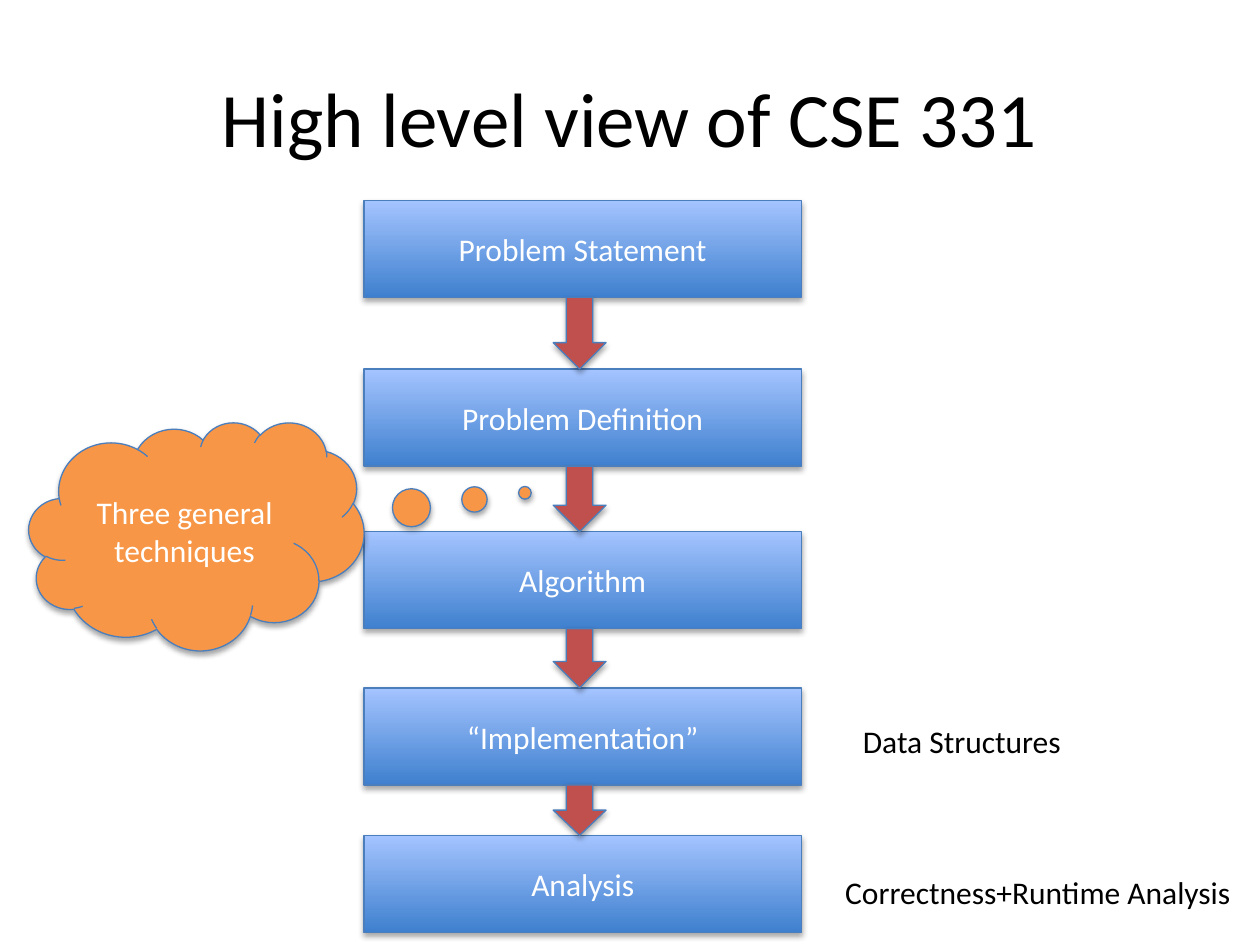
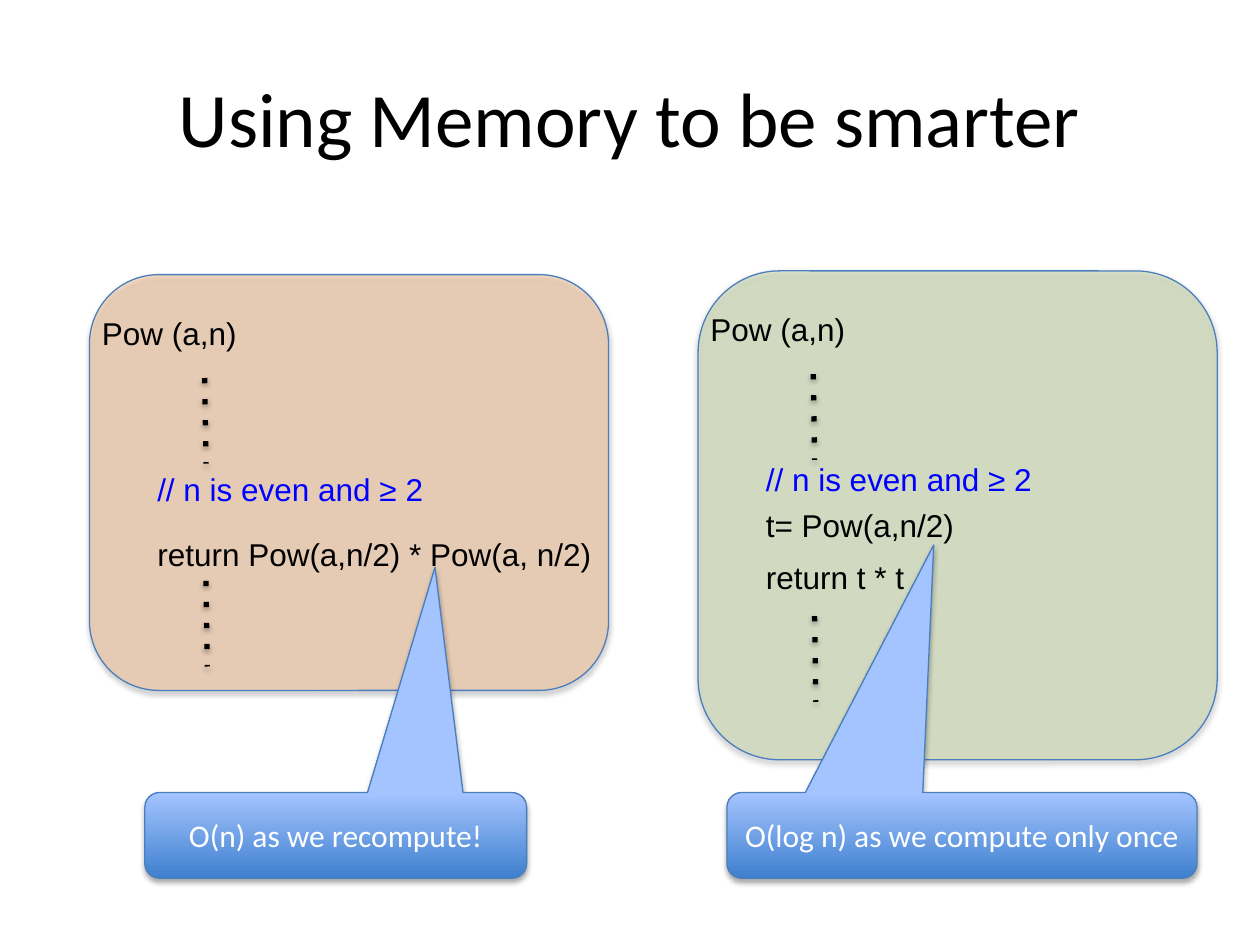
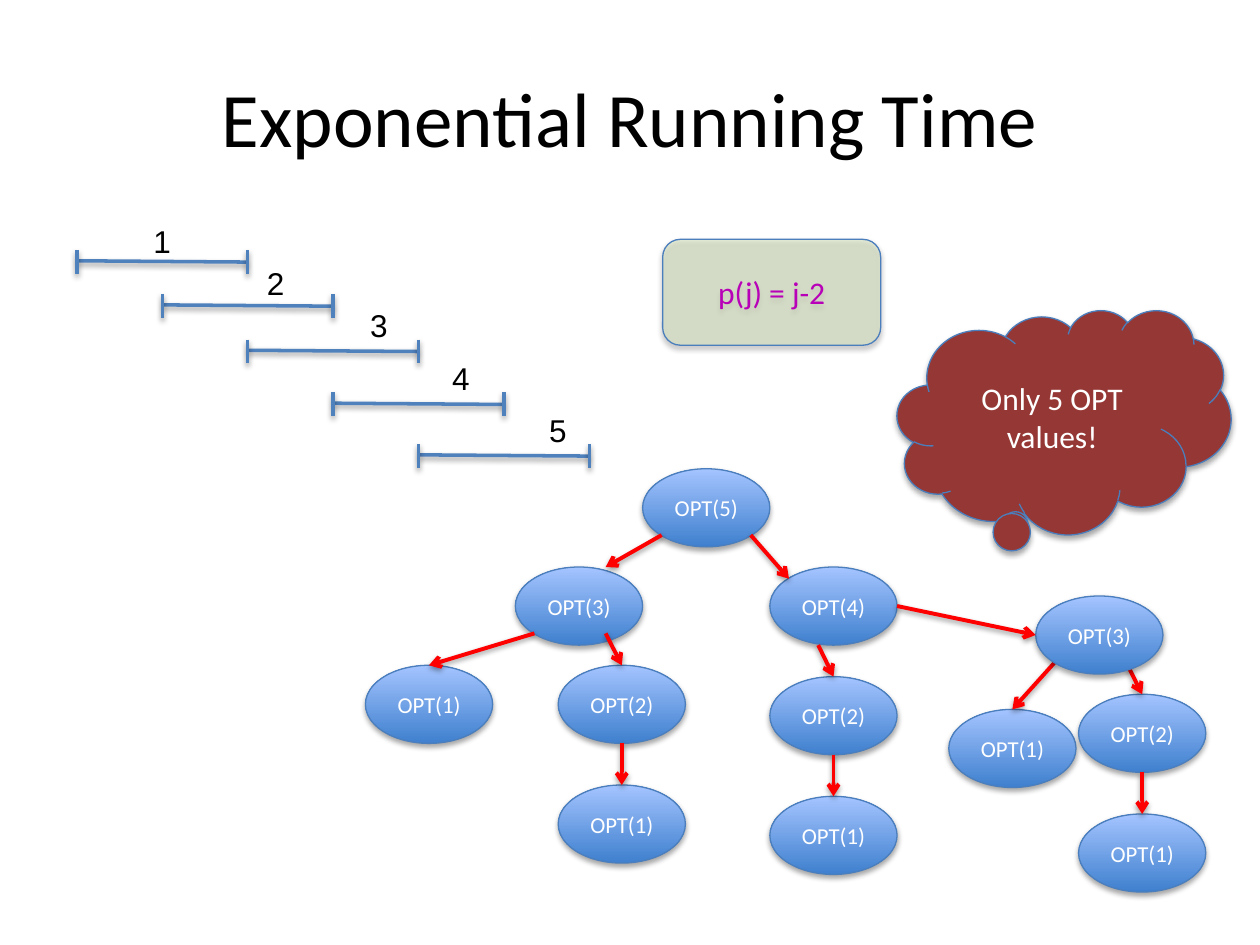
from dataclasses import dataclass

from lxml import etree
from pptx import Presentation
from pptx.dml.color import RGBColor
from pptx.enum.shapes import MSO_CONNECTOR, MSO_SHAPE
from pptx.enum.text import MSO_ANCHOR, MSO_AUTO_SIZE, PP_ALIGN
from pptx.oxml.ns import qn
from pptx.util import Emu, Inches, Pt

STRAIGHT = MSO_CONNECTOR.STRAIGHT
RECT = MSO_SHAPE.RECTANGLE
ROUNDED = MSO_SHAPE.ROUNDED_RECTANGLE
ELLIPSE = MSO_SHAPE.OVAL
DOWN_ARROW = MSO_SHAPE.DOWN_ARROW
CLOUD = MSO_SHAPE.CLOUD_CALLOUT
SPEECH = MSO_SHAPE.ROUNDED_RECTANGULAR_CALLOUT
LEFT, CENTER = PP_ALIGN.LEFT, PP_ALIGN.CENTER
MIDDLE = MSO_ANCHOR.MIDDLE
GROW = MSO_AUTO_SIZE.SHAPE_TO_FIT_TEXT

SLIDE_W, SLIDE_H = Inches(10), Inches(7.5)
COLUMNS = 100  # square cells, so the slide is 100 columns by 75 rows


@dataclass(frozen=True)
class Theme:
    body_font: str = "Calibri"
    code_font: str = "Arial"
    title_size: float = 44
    body_size: float = 18
    node_size: float = 13
    ink: str = "000000"
    paper: str = "FFFFFF"
    outline: str = "4B7EBC"
    gradient: tuple = ("3F80CE", "A4C4FF")
    step_arrow: str = "C0504D"
    idea: str = "F79646"
    insight: str = "953735"
    slow_panel: str = "FAC090"
    fast_panel: str = "C3D69B"
    formula_panel: str = "D7E4BD"
    formula: str = "B700B7"
    comment: str = "0000FF"
    interval: str = "4F81BD"
    call: str = "FF0000"


THEME = Theme()


def cells(count):
    return Emu(round(count * SLIDE_W / COLUMNS))


def rgb(colour):
    return RGBColor.from_string(colour)


def add_child(parent, tag, **attributes):
    child = etree.SubElement(parent, qn(tag))
    for key, value in attributes.items():
        child.set(key, str(value))
    return child


def add_shadow(effects, opacity, distance):
    """Put a soft downward shadow into an effect list."""
    shadow = add_child(effects, "a:outerShdw", blurRad=40000, dist=distance,
                       dir=5400000, rotWithShape=0)
    black = add_child(shadow, "a:srgbClr", val=THEME.ink)
    add_child(black, "a:alpha", val=opacity * 1000)


def write(frame, text, size=THEME.body_size, colour=THEME.ink,
          font=THEME.body_font, align=LEFT):
    paragraph = frame.paragraphs[0]
    paragraph.alignment = align
    run = paragraph.add_run()
    run.text = text
    run.font.name = font
    run.font.size = Pt(size)
    run.font.color.rgb = rgb(colour)


def add_title(slide, text):
    frame = slide.shapes.add_textbox(cells(5), cells(3), cells(90), cells(12.5)).text_frame
    frame.word_wrap = True
    frame.vertical_anchor = MIDDLE
    write(frame, text, THEME.title_size, align=CENTER)


def add_label(slide, left, top, width, text, **style):
    frame = slide.shapes.add_textbox(cells(left), cells(top), cells(width), cells(4)).text_frame
    frame.word_wrap = False
    frame.auto_size = GROW
    write(frame, text, **style)


def add_block(slide, preset, box, fill=None, opacity=None, text="",
              size=THEME.body_size, colour=THEME.paper, adjust=()):
    """Add an outlined, shadowed shape; without a fill it takes the blue gradient."""
    block = slide.shapes.add_shape(preset, *map(cells, box))
    for index, value in enumerate(adjust):
        block.adjustments[index] = value
    if fill:
        block.fill.solid()
        block.fill.fore_color.rgb = rgb(fill)
    else:
        block.fill.gradient()
        block.fill.gradient_angle = 90
        for stop, shade in zip(block.fill.gradient_stops, THEME.gradient):
            stop.color.rgb = rgb(shade)
    properties = block._element.spPr
    if opacity:
        add_child(properties.find(qn("a:solidFill"))[0], "a:alpha", val=opacity * 1000)
    block.line.color.rgb = rgb(THEME.outline)
    block.line.width = Pt(0.75)
    block.shadow.inherit = False
    add_shadow(properties.find(qn("a:effectLst")), 35, 23000)
    if text:
        write(block.text_frame, text, size, colour, align=CENTER)


def add_line(slide, start, end, colour, width, dash=None, head=None):
    line = slide.shapes.add_connector(STRAIGHT, *map(cells, (*start, *end)))
    line.line.color.rgb = rgb(colour)
    line.line.width = Pt(width)
    properties = line._element.spPr
    stroke = properties.find(qn("a:ln"))
    if dash:
        add_child(stroke, "a:prstDash", val=dash)
    if head:
        add_child(stroke, "a:tailEnd", type=head)
    add_shadow(add_child(properties, "a:effectLst"), 38, 20000)


def add_code_panel(slide, left, top, height, fill, opacity, lines, dots):
    """Panel with a function head, indented (row, width, text, colour) lines and dotted gaps."""
    add_block(slide, ROUNDED, (left, top, 41.2, height), fill, opacity)
    add_label(slide, left, top + 2.65, 12.8, "Pow (a,n)", font=THEME.code_font)
    for row, width, text, colour in lines:
        add_label(slide, left + 4.4, row, width, text, colour=colour, font=THEME.code_font)
    for index, row in enumerate(dots):
        column = left + 9.15 + index * 0.1
        add_line(slide, (column, row), (column + 0.1, row + 6.8), THEME.ink, 3, dash="dot")


def add_interval(slide, number, left, row, label_left, label_top):
    right = left + 13.55
    add_line(slide, (left, row), (right, row + 0.1), THEME.interval, 2)
    for end in (left, right):
        add_line(slide, (end, row - 0.85), (end, row + 1.05), THEME.interval, 2)
    add_label(slide, label_left, label_top, 3.4, str(number), font=THEME.code_font)


def add_call_tree(slide, calls):
    """Draw calls, given as key: (argument, left, top, parent, start site, end site).

    A site is a place on an ellipse, in shares of its width and height.
    """
    width, height = 10.1, 6.2

    def point(key, site):
        _, left, top, *_ = calls[key]
        return left + site[0] * width, top + site[1] * height

    for key, (argument, left, top, parent, start, end) in calls.items():
        add_block(slide, ELLIPSE, (left, top, width, height),
                  text=f"OPT({argument})", size=THEME.node_size)
        if parent:
            add_line(slide, point(parent, start), point(key, end),
                     THEME.call, 2.25, head="arrow")


def build_overview(slide):
    add_title(slide, "High level view of CSE 331")
    left, width, height = 28.9, 34.7, 7.7
    steps = [("Problem Statement", 15.9), ("Problem Definition", 29.3), ("Algorithm", 42.2),
             ("“Implementation”", 54.6), ("Analysis", 66.3)]
    for name, top in steps:
        add_block(slide, RECT, (left, top, width, height), text=name)
    for (_, top), (_, next_top) in zip(steps, steps[1:]):
        bottom = top + height
        add_block(slide, DOWN_ARROW, (43.9, bottom, 4.2, next_top - bottom), THEME.step_arrow)
    add_label(slide, 66.1, 68.8, 32.9, "Correctness+Runtime Analysis")
    add_label(slide, 67.5, 56.8, 17.9, "Data Structures")
    add_block(slide, CLOUD, (2.3, 33.5, 26.6, 18.1), THEME.idea,
              text="Three general techniques", adjust=(0.98, -0.19))


def build_memory(slide):
    add_title(slide, "Using Memory to be smarter")
    remark = "// n is even and ≥ 2"
    add_code_panel(slide, 7.1, 21.8, 33, THEME.slow_panel, 47,
                   [(36.8, 23.3, remark, THEME.comment),
                    (42, 36.8, "return Pow(a,n/2) * Pow(a, n/2)", THEME.ink)],
                   dots=(30, 46.1))
    add_code_panel(slide, 55.4, 21.5, 38.8, THEME.fast_panel, 40,
                   [(36, 23.3, remark, THEME.comment),
                    (39.7, 17.1, "t= Pow(a,n/2)", THEME.ink),
                    (43.8, 13.1, "return t * t", THEME.ink)],
                   dots=(29.7, 48.9))
    for left, width, text, tip in [
            (11.5, 30.3, "O(n) as we recompute!", (0.26, -3.13)),
            (57.7, 37.3, "O(log n) as we compute only once", (-0.06, -3.39))]:
        add_block(slide, SPEECH, (left, 62.9, width, 6.8), text=text, adjust=(*tip, 0.17))


def build_running_time(slide):
    add_title(slide, "Exponential Running Time")
    intervals = [(20.7, 11.2, 17.1), (24.2, 20.2, 20.5), (27.8, 28.4, 23.8),
                 (32, 34.9, 28), (36.1, 42.6, 32.1)]
    for index, (row, label_left, label_top) in enumerate(intervals):
        add_interval(slide, index + 1, 6.1 + index * 6.78, row, label_left, label_top)
    add_block(slide, ROUNDED, (52.6, 19, 17.3, 8.4), THEME.formula_panel, 53,
              text="p(j) = j-2", colour=THEME.formula)

    top, bottom, west, east = (0.5, 0), (0.5, 1), (0, 0.5), (1, 0.5)
    northwest, southwest, southeast = (0.15, 0.15), (0.15, 0.85), (0.85, 0.85)
    upper_right, lower_right, lower_left = (0.71, 0), (0.71, 0.85), (0.38, 1)
    add_call_tree(slide, {
        "root": (5, 51, 37.2, None, None, None),
        "left": (3, 40.9, 45, "root", southwest, upper_right),
        "middle": (4, 61.1, 45, "root", southeast, northwest),
        "left 1": (1, 29, 52.8, "left", southwest, top),
        "left 2": (2, 44.3, 52.8, "left", lower_right, top),
        "left end": (1, 44.3, 62.3, "left 2", bottom, top),
        "middle 2": (2, 61.1, 53.7, "middle", lower_left, top),
        "middle end": (1, 61.1, 63.2, "middle 2", bottom, top),
        "right 1": (1, 75.3, 56.3, "right", southwest, top),
        "right 2": (2, 85.6, 55.1, "right", lower_right, top),
        "right end": (1, 85.6, 64.6, "right 2", bottom, top),
        "right": (3, 82.2, 47.3, "middle", east, west),
    })
    add_block(slide, CLOUD, (71.2, 24.6, 26.5, 17.8), THEME.insight,
              text="Only 5 OPT values!", adjust=(-0.15, 0.47))


def main():
    deck = Presentation()
    deck.slide_width, deck.slide_height = SLIDE_W, SLIDE_H
    blank = deck.slide_layouts[6]
    for build in (build_overview, build_memory, build_running_time):
        build(deck.slides.add_slide(blank))
    deck.save("out.pptx")


if __name__ == "__main__":
    main()
